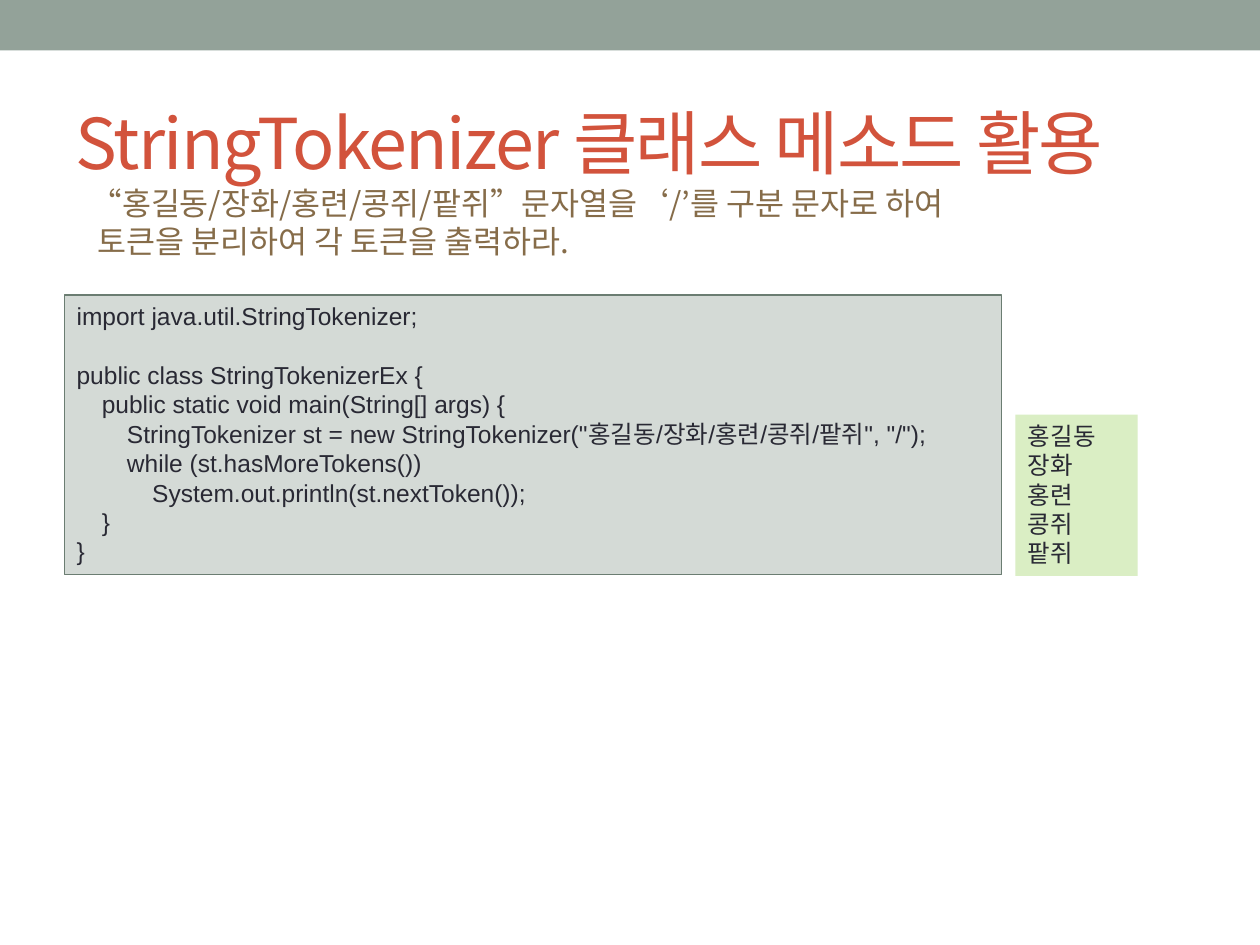
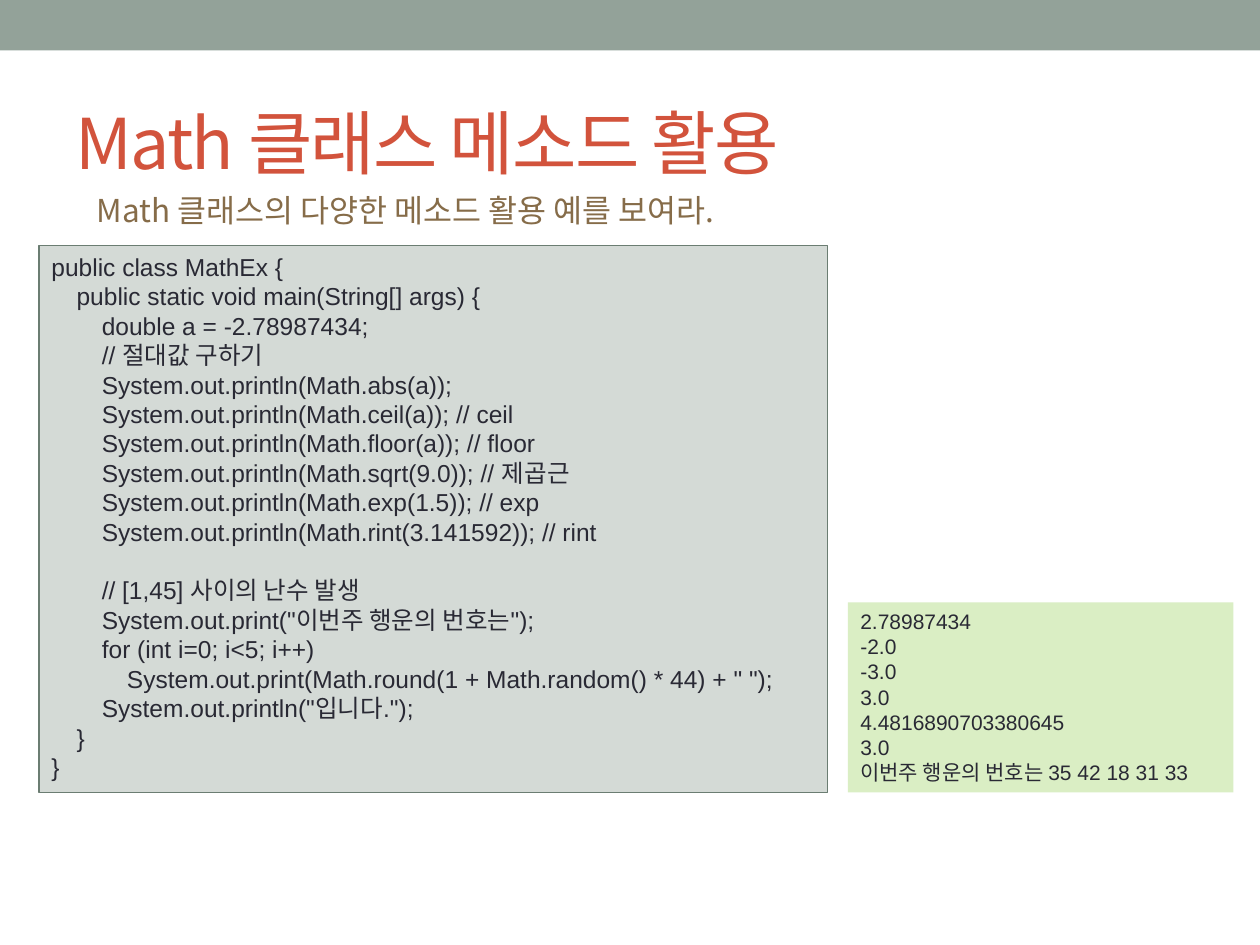
from dataclasses import dataclass

from lxml import etree
from pptx import Presentation
from pptx.dml.color import RGBColor
from pptx.enum.shapes import MSO_SHAPE
from pptx.enum.text import MSO_ANCHOR, PP_ALIGN
from pptx.oxml.ns import qn
from pptx.util import Inches, Pt

RECTANGLE = MSO_SHAPE.RECTANGLE
LEFT = PP_ALIGN.LEFT
TOP, MIDDLE = MSO_ANCHOR.TOP, MSO_ANCHOR.MIDDLE
TITLE_ONLY = 5


@dataclass(frozen=True)
class Theme:
    band: str = "93A299"
    title: str = "D2533C"
    task: str = "866C49"
    ink: str = "292934"
    code_fill: str = "D4DAD6"
    code_line: str = "6B7D72"
    output_fill: str = "DAEEC4"
    heading_font: str = "Noto Sans CJK KR"
    code_font: str = "Arial"
    title_size: int = 40
    task_size: int = 18
    code_size: int = 14
    small_size: int = 12
    leading: float = 1.2
    code_indent: float = 0.2


THEME = Theme()

# Wording: a leading tab is one indent level, an empty line is a gap
TOKENIZER_TASK = """“홍길동/장화/홍련/콩쥐/팥쥐”문자열을‘/’를 구분 문자로 하여
 토큰을 분리하여 각 토큰을 출력하라."""

TOKENIZER_CODE = """import java.util.StringTokenizer;

public class StringTokenizerEx {
\tpublic static void main(String[] args) {
\t\tStringTokenizer st = new StringTokenizer("홍길동/장화/홍련/콩쥐/팥쥐", "/");
\t\twhile (st.hasMoreTokens())
\t\t\tSystem.out.println(st.nextToken());
\t}
}"""

TOKENIZER_OUTPUT = """홍길동
장화
홍련
콩쥐
팥쥐"""

MATH_TASK = "Math 클래스의 다양한 메소드 활용 예를 보여라."

MATH_CODE = """public class MathEx {
\tpublic static void main(String[] args) {
\t\tdouble a = -2.78987434;
\t\t// 절대값 구하기
\t\tSystem.out.println(Math.abs(a));
\t\tSystem.out.println(Math.ceil(a)); // ceil
\t\tSystem.out.println(Math.floor(a)); // floor
\t\tSystem.out.println(Math.sqrt(9.0)); // 제곱근
\t\tSystem.out.println(Math.exp(1.5)); // exp
\t\tSystem.out.println(Math.rint(3.141592)); // rint

\t\t// [1,45] 사이의 난수 발생
\t\tSystem.out.print("이번주 행운의 번호는");
\t\tfor (int i=0; i<5; i++)
\t\t\tSystem.out.print(Math.round(1 + Math.random() * 44) + " ");
\t\tSystem.out.println("입니다.");
\t}
}"""

MATH_OUTPUT = """2.78987434
-2.0
-3.0
3.0
4.4816890703380645
3.0
이번주 행운의 번호는 35 42 18 31 33"""


def color(code):
    return RGBColor.from_string(code)


def add_span(para, text, size, font, ink):
    """Add one run, with the Korean face set beside the Latin one."""
    span = para.add_run()
    span.text = text
    span.font.size = Pt(size)
    span.font.name = font
    span.font.color.rgb = color(ink)
    east_asian = etree.SubElement(span.font._element, qn("a:ea"))
    east_asian.set("typeface", THEME.heading_font)
    return span


def write_lines(frame, text, size, font, ink):
    """Write each line as a paragraph; tabs become indents, empty lines space."""
    frame.word_wrap = True
    frame.vertical_anchor = TOP
    frame.margin_right = 0
    line_height = Pt(size * THEME.leading)
    gap = 0
    para = frame.paragraphs[0]
    for number, line in enumerate(text.split("\n")):
        if not line:
            gap += line_height
            continue
        if number:
            para = frame.add_paragraph()
        code = line.lstrip("\t")
        level = len(line) - len(code)
        para.alignment = LEFT
        para.line_spacing = line_height
        if gap:
            para.space_before = gap
            gap = 0
        if level:
            margins = para._p.get_or_add_pPr()
            margins.set("marL", str(Inches(level * THEME.code_indent)))
            margins.set("indent", "0")
        add_span(para, code, size, font, ink)


def add_panel(page, at, fill, line=None):
    panel = page.shapes.add_shape(RECTANGLE, *map(Inches, at))
    panel.shadow.inherit = False
    panel.fill.solid()
    panel.fill.fore_color.rgb = color(fill)
    if line:
        panel.line.color.rgb = color(line)
        panel.line.width = Pt(0.75)
    else:
        panel.line.fill.background()
    return panel


def add_title(page, text):
    title = page.shapes.title
    title.left, title.top = Inches(0.5), Inches(0.58)
    title.width, title.height = Inches(9), Inches(1.08)
    frame = title.text_frame
    frame.vertical_anchor = MIDDLE
    para = frame.paragraphs[0]
    para.alignment = LEFT
    span = add_span(para, text, THEME.title_size, THEME.heading_font, THEME.title)
    span.font._element.set("spc", "-100")


def add_task(page, at, text):
    box = page.shapes.add_textbox(*map(Inches, at))
    write_lines(box.text_frame, text, THEME.task_size, THEME.heading_font, THEME.task)


def add_code(page, at, text):
    panel = add_panel(page, at, THEME.code_fill, THEME.code_line)
    write_lines(panel.text_frame, text, THEME.code_size, THEME.code_font, THEME.ink)


def add_output(page, at, text, size):
    panel = add_panel(page, at, THEME.output_fill)
    write_lines(panel.text_frame, text, size, THEME.code_font, THEME.ink)


def add_shared_band(page):
    """Draw the top band and move it to the layout that all pages use."""
    band = add_panel(page, (0, 0, 10, 0.4), THEME.band)
    page.slide_layout.shapes.element.insert(2, band.element)


def add_page(deck, title):
    page = deck.slides.add_slide(deck.slide_layouts[TITLE_ONLY])
    add_title(page, title)
    return page


def main():
    deck = Presentation()
    deck.slide_width, deck.slide_height = Inches(10), Inches(7.5)

    # StringTokenizer example
    page = add_page(deck, "StringTokenizer 클래스 메소드 활용")
    add_shared_band(page)
    add_code(page, (0.51, 2.34, 7.44, 2.22), TOKENIZER_CODE)
    add_task(page, (0.62, 1.41, 7.79, 0.71), TOKENIZER_TASK)
    add_output(page, (8.06, 3.29, 0.97, 1.28), TOKENIZER_OUTPUT, THEME.code_size)

    # Math example
    page = add_page(deck, "Math 클래스 메소드 활용")
    add_code(page, (0.31, 1.95, 6.26, 4.34), MATH_CODE)
    add_task(page, (0.67, 1.47, 5.61, 0.4), MATH_TASK)
    add_output(page, (6.73, 4.78, 3.06, 1.51), MATH_OUTPUT, THEME.small_size)

    deck.save("out.pptx")


if __name__ == "__main__":
    main()
